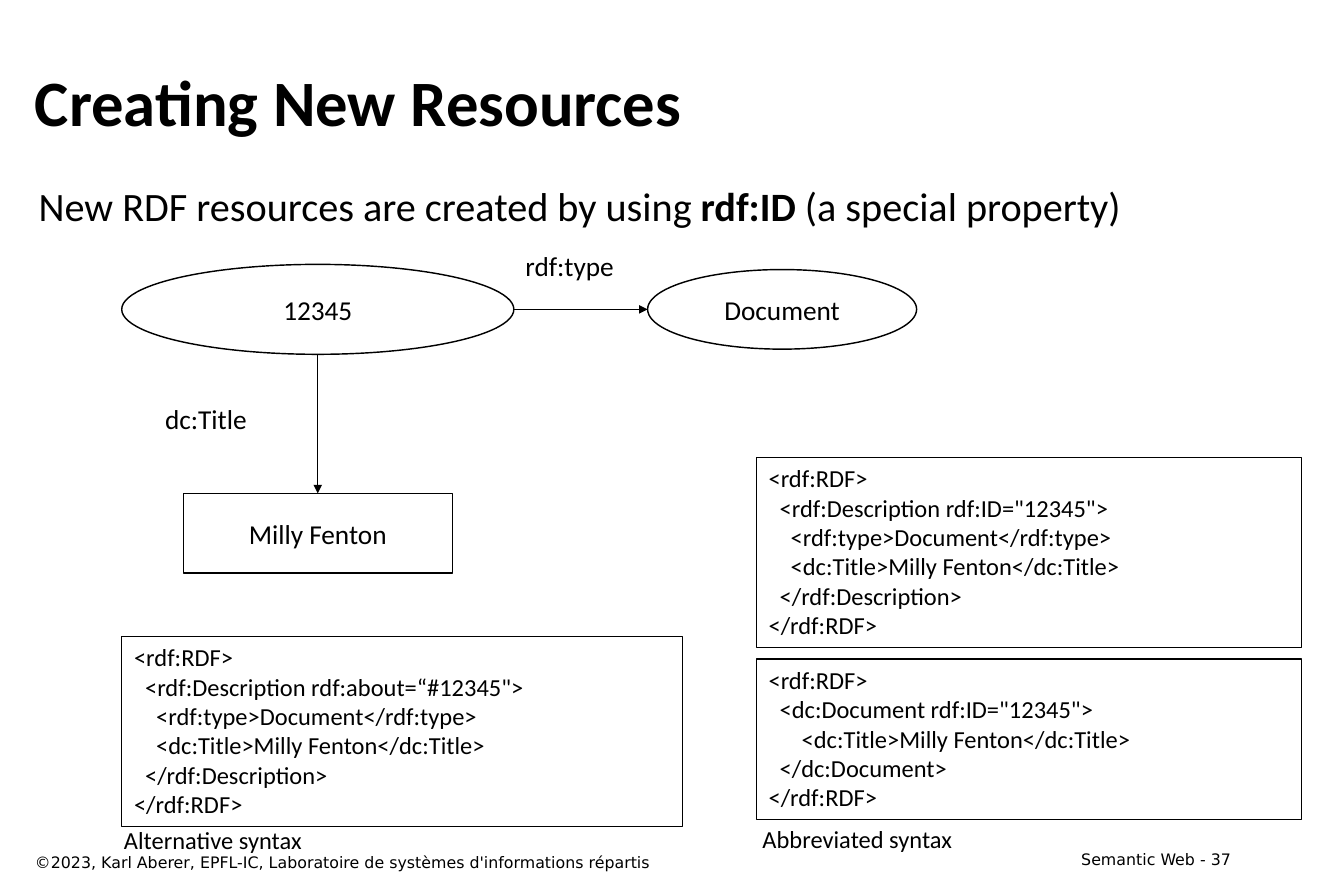
import collections

import lxml.etree
import pptx
import pptx.dml.color
import pptx.enum.shapes
import pptx.enum.text
import pptx.oxml.ns
import pptx.util

Box = collections.namedtuple("Box", "left top width height")
Pt = pptx.util.Pt
SHAPES = pptx.enum.shapes.MSO_SHAPE
ALIGN = pptx.enum.text.PP_ALIGN
ANCHOR = pptx.enum.text.MSO_ANCHOR
BLACK = "000000"
WHITE = "FFFFFF"

BOOK = "Milly Fenton"
DESCRIPTION = f"""<rdf:RDF>
  <rdf:Description rdf:ID="12345">
    <rdf:type>Document</rdf:type>
    <dc:Title>{BOOK}</dc:Title>
  </rdf:Description>
</rdf:RDF>"""
ABBREVIATED = f"""<rdf:RDF>
  <dc:Document rdf:ID="12345">
      <dc:Title>{BOOK}</dc:Title>
  </dc:Document>
</rdf:RDF>"""
ALTERNATIVE = DESCRIPTION.replace('rdf:ID="12345', 'rdf:about=“#12345')


def colour(value):
    return pptx.dml.color.RGBColor.from_string(value)


def lengths(box):
    return [Pt(value) for value in box]


def write(shape, text, size=19, font="Calibri", bold=False, align=ALIGN.LEFT,
          anchor=ANCHOR.TOP, wrap=True, strong=""):
    frame = shape.text_frame
    frame.word_wrap = wrap
    frame.vertical_anchor = anchor
    frame.margin_left = frame.margin_right = Pt(8.6)
    frame.margin_top = frame.margin_bottom = Pt(4.3)
    for index, line in enumerate(text.split("\n")):
        para = frame.paragraphs[0] if index == 0 else frame.add_paragraph()
        para.alignment = align
        before, match, after = line.partition(strong) if strong else (line, "", "")
        for part, heavy in ((before, bold), (match, True), (after, bold)):
            if part:
                span = para.add_run()
                span.text = part
                span.font.name = font
                span.font.size = Pt(size)
                span.font.bold = heavy
                span.font.color.rgb = colour(BLACK)


def add_text(page, box, text, **style):
    write(page.shapes.add_textbox(*lengths(box)), text, **style)


def add_outline(page, kind, box, text, line=1, fill=WHITE, **style):
    shape = page.shapes.add_shape(kind, *lengths(box))
    shape.shadow.inherit = False
    if fill:
        shape.fill.solid()
        shape.fill.fore_color.rgb = colour(fill)
    else:
        shape.fill.background()
    shape.line.color.rgb = colour(BLACK)
    shape.line.width = Pt(line)
    write(shape, text, **style)
    return shape


def add_arrow(page, start, end, width):
    arrow = page.shapes.add_connector(
        pptx.enum.shapes.MSO_CONNECTOR.STRAIGHT, *lengths(start + end))
    arrow.line.color.rgb = colour(BLACK)
    arrow.line.width = Pt(width)
    qualified = pptx.oxml.ns.qn
    head = lxml.etree.SubElement(arrow.line._get_or_add_ln(), qualified("a:tailEnd"))
    head.set("type", "triangle")
    lxml.etree.SubElement(arrow._element.spPr, qualified("a:effectLst"))
    return arrow


def add_heading(page, box):
    add_text(page, Box(box.left, box.top, box.width, 83.5), "Creating New Resources",
             size=45, bold=True, anchor=ANCHOR.MIDDLE)
    add_text(page, Box(box.left + 2.6, box.top + 93.6, box.width, 45),
             "New RDF resources are created by using rdf:ID (a special property)",
             size=28, strong="rdf:ID")


def add_graph(page, box):
    node = {"align": ALIGN.CENTER, "anchor": ANCHOR.MIDDLE, "wrap": False}
    width, height = 187.2, 55.4
    resource = Box(box.left, box.top + 14.8, 272.9, 62.6)
    centre = resource.left + resource.width / 2
    middle = resource.top + resource.height / 2
    right = box.left + box.width
    bottom = box.top + box.height
    add_outline(page, SHAPES.OVAL, resource, "12345", **node)
    add_outline(page, SHAPES.OVAL,
                Box(right - width, middle - height / 2, width, height),
                "Document", **node)
    title = add_outline(page, SHAPES.FLOWCHART_PROCESS,
                        Box(centre - width / 2, bottom - height, width, height),
                        BOOK, **node)
    add_arrow(page, (resource.left + resource.width, middle), (right - width, middle), 0.75)
    down = add_arrow(page, (centre, resource.top + resource.height),
                     (centre, bottom - height), 1)
    down.end_connect(title, 0)
    add_text(page, Box(box.left + 272.4, box.top, 79.2, 31.7), "rdf:type", wrap=False)
    add_text(page, Box(box.left + 21.6, box.top + 106.6, 75.6, 31.7), "dc:Title", wrap=False)


def add_code(page, box, code, caption="", caption_shift=(0, 0)):
    add_outline(page, SHAPES.RECTANGLE, box, code, line=0.75, fill=None, size=17)
    if caption:
        across, down = caption_shift
        add_text(page, Box(box.left + across, box.top + box.height + down, 150.5, 29.5),
                 caption, size=17, wrap=False)


def add_footer(page, box):
    style = {"size": 11, "font": "DejaVu Sans"}
    add_text(page, Box(box.left, box.top + 2.2, 600.5, 20.9),
             "©2023, Karl Aberer, EPFL-IC, Laboratoire de systèmes d'informations répartis",
             **style)
    add_text(page, Box(box.left + box.width - 195, box.top, 195, 20.9),
             "Semantic Web - 37", align=ALIGN.RIGHT, **style)


def main():
    deck = pptx.Presentation()
    deck.slide_width = Pt(935.28)
    deck.slide_height = Pt(623.52)
    page = deck.slides.add_slide(deck.slide_layouts[6])
    add_heading(page, Box(15.8, 28.1, 849.6, 140))
    add_graph(page, Box(84.7, 169.2, 553.2, 229.6))
    add_code(page, Box(526.3, 318.2, 379.4, 132.5), DESCRIPTION)
    add_code(page, Box(526.3, 458.6, 379.4, 111.6), ABBREVIATED,
             "Abbreviated syntax", (-4.3, -1.4))
    add_code(page, Box(84.7, 442.8, 390.2, 132.5), ALTERNATIVE,
             "Alternative syntax", (-7, -5.8))
    add_footer(page, Box(15.8, 586.8, 849.6, 23.1))
    deck.save("out.pptx")


if __name__ == "__main__":
    main()
